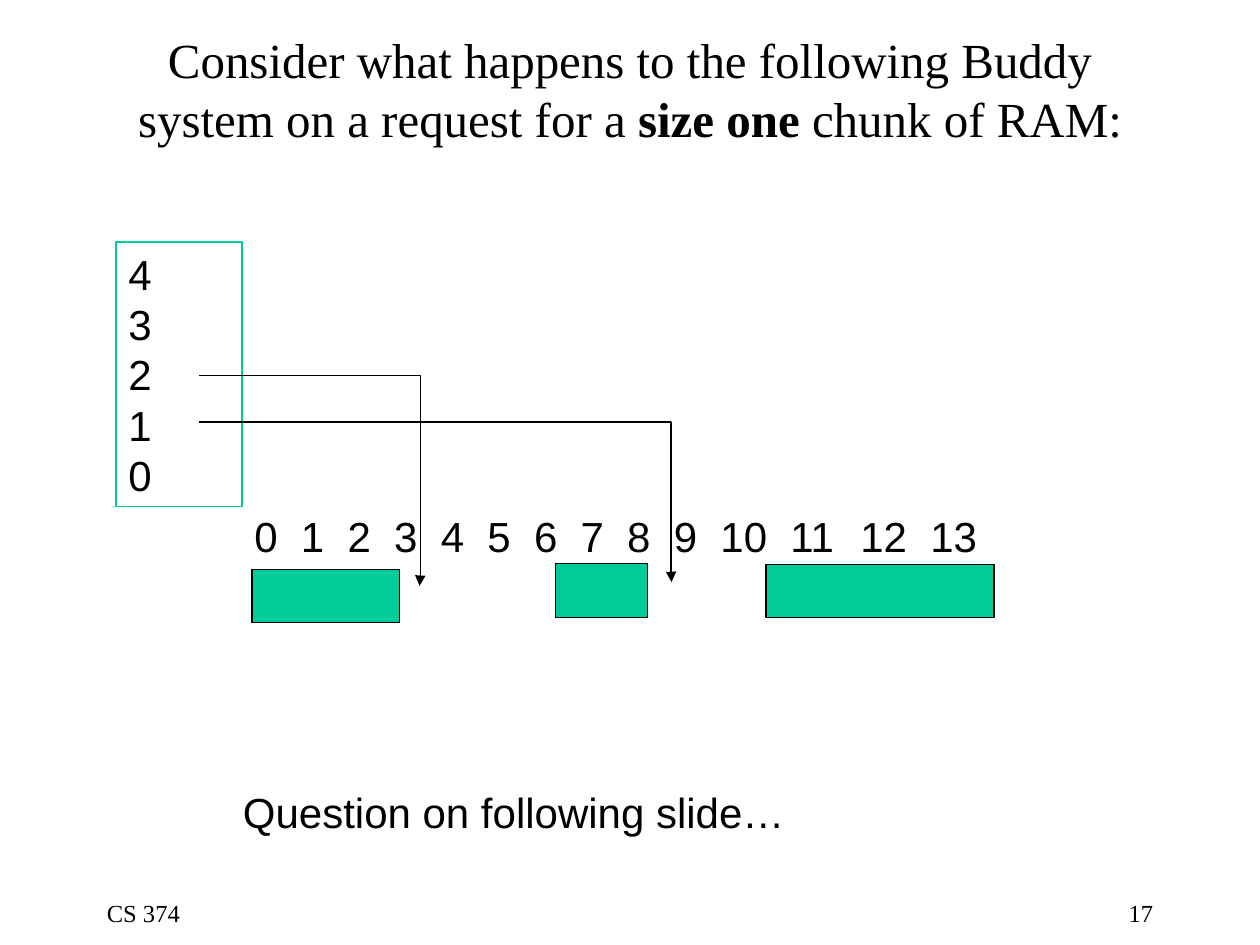
from lxml.etree import SubElement
from pptx import Presentation
from pptx.dml.color import RGBColor
from pptx.enum.shapes import MSO_CONNECTOR, MSO_SHAPE
from pptx.enum.text import MSO_ANCHOR, MSO_AUTO_SIZE, PP_ALIGN
from pptx.oxml.ns import qn
from pptx.util import Inches, Pt

COLORS = {"ink": "000000", "used": "00CC99"}
SERIF, SANS = "Times New Roman", "Arial"
WIDTH, HEIGHT = 10, 7.5
MARGIN = 0.75
DIGIT = 0.185  # width of a digit at 24 pt, also the gap between addresses


def rgb(name):
    return RGBColor.from_string(COLORS[name])


def place(shape, left, top, width, height):
    shape.left, shape.top = Inches(left), Inches(top)
    shape.width, shape.height = Inches(width), Inches(height)


def write(shape, lines, font=SANS, size=24, align=PP_ALIGN.LEFT,
          anchor=MSO_ANCHOR.TOP, wrap=True, grow=False, tabs=()):
    """Each line is a list of (text, bold) runs."""
    frame = shape.text_frame
    frame.word_wrap, frame.vertical_anchor = wrap, anchor
    frame.auto_size = (MSO_AUTO_SIZE.SHAPE_TO_FIT_TEXT if grow
                       else MSO_AUTO_SIZE.NONE)
    for index, runs in enumerate(lines):
        paragraph = frame.add_paragraph() if index else frame.paragraphs[0]
        paragraph.alignment = align
        if tabs:
            tab_list = SubElement(paragraph._p.get_or_add_pPr(), qn("a:tabLst"))
            for stop in tabs:
                SubElement(tab_list, qn("a:tab"), pos=str(Inches(stop)), algn="l")
        for text, bold in runs:
            run = paragraph.add_run()
            run.text = text
            run.font.name, run.font.size = font, Pt(size)
            run.font.bold, run.font.color.rgb = bold, rgb("ink")


def add_label(slide, text, box, **style):
    label = slide.shapes.add_textbox(*map(Inches, box))
    write(label, [[(text, False)]], **style)


def add_block(slide, box, fill=None, line="ink", weight=0.75):
    block = slide.shapes.add_shape(MSO_SHAPE.RECTANGLE, *map(Inches, box))
    block.shadow.inherit = False
    if fill:
        block.fill.solid()
        block.fill.fore_color.rgb = rgb(fill)
    else:
        block.fill.background()
    block.line.color.rgb, block.line.width = rgb(line), Pt(weight)
    return block


def add_pointer(slide, start, end, bend):
    """Elbow arrow that turns down at the given share of its width."""
    pointer = slide.shapes.add_connector(
        MSO_CONNECTOR.ELBOW, *map(Inches, start + end))
    pointer.line.color.rgb, pointer.line.width = rgb("ink"), Pt(0.75)
    properties = pointer._element.spPr
    guides = properties.find(qn("a:prstGeom")).get_or_add_avLst()
    SubElement(guides, qn("a:gd"), name="adj1", fmla=f"val {round(bend * 100000)}")
    SubElement(pointer.line._get_or_add_ln(), qn("a:tailEnd"), type="triangle")
    SubElement(properties, qn("a:effectLst"))


def address_stops(addresses):
    """Left edge of every address after the first one."""
    stops, position = [], 0
    for address in addresses[:-1]:
        position += DIGIT * (len(address) + 1)
        stops.append(position)
    return stops


def main():
    deck = Presentation()
    deck.slide_width, deck.slide_height = Inches(WIDTH), Inches(HEIGHT)
    slide = deck.slides.add_slide(deck.slide_layouts[5])

    # Title
    title = slide.shapes.title
    place(title, MARGIN, 0.33, WIDTH - 2 * MARGIN, 0.75)
    write(title, [[
        ("Consider what happens to the following Buddy system on a request for a ", False),
        ("size one ", True), ("chunk of RAM:", False)]],
        font=SERIF, size=28, align=PP_ALIGN.CENTER, anchor=MSO_ANCHOR.MIDDLE)

    # Footer
    footer_width, footer_top = 2.08, 7.08
    for text, left, align in (
            ("CS 374", MARGIN, PP_ALIGN.LEFT),
            ("17", WIDTH - MARGIN - footer_width, PP_ALIGN.RIGHT)):
        add_label(slide, text, (left, footer_top, footer_width, HEIGHT - footer_top),
                  font=SERIF, size=14, align=align)

    # Memory addresses and closing remark
    addresses = [str(number) for number in range(14)]
    add_label(slide, "\t".join(addresses), (1.92, 4, 6.17, 0.5), grow=True,
              tabs=address_stops(addresses))
    add_label(slide, "Question on following slide…", (1.83, 6.19, 4.73, 0.5),
              wrap=False, grow=True)

    # Free lists by order
    free_lists = add_block(slide, (0.92, 1.92, 1, 2.1), line="used", weight=1)
    write(free_lists, [[(str(order), False)] for order in range(4, -1, -1)], grow=True)

    # Allocated memory
    for box in ((2, 4.52, 1.17, 0.42), (4.41, 4.47, 0.73, 0.43),
                (6.08, 4.48, 1.81, 0.42)):
        add_block(slide, box, fill="used")

    # Pointers from the free lists to free chunks
    add_pointer(slide, (1.58, 2.98), (3.33, 4.65), bend=1.003)
    add_pointer(slide, (1.58, 3.35), (5.33, 4.62), bend=0.999)

    deck.save("out.pptx")


if __name__ == "__main__":
    main()
